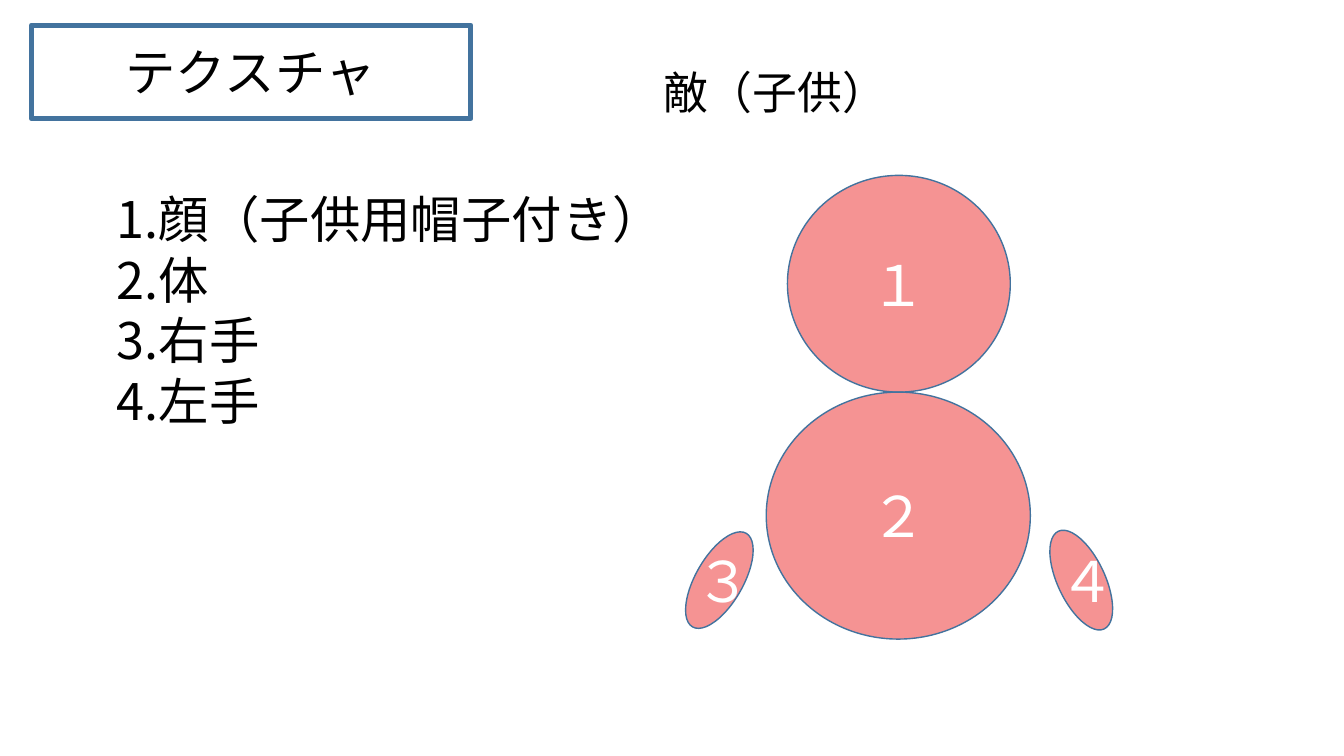
"""Builds a slide listing the textures of the child enemy beside its numbered parts."""
from dataclasses import dataclass

import pptx
import pptx.dml.color
import pptx.enum.shapes
import pptx.enum.text
import pptx.oxml
import pptx.oxml.ns
import pptx.util

FONT = "Noto Sans CJK JP"
BLACK, WHITE, PINK, BLUE = "000000", "FFFFFF", "F59393", "43739E"
WIDTH, HEIGHT = pptx.util.Inches(13.33), pptx.util.Inches(7.5)
LEFT, CENTER = pptx.enum.text.PP_ALIGN.LEFT, pptx.enum.text.PP_ALIGN.CENTER
RECT, OVAL = pptx.enum.shapes.MSO_SHAPE.RECTANGLE, pptx.enum.shapes.MSO_SHAPE.OVAL


@dataclass(frozen=True)
class Box:
    """A rectangle in percent of the slide's width and height."""
    x: float
    y: float
    w: float
    h: float

    def emu(self) -> tuple[int, int, int, int]:
        """Return left, top, width and height in EMU."""
        return (int(WIDTH * self.x / 100), int(HEIGHT * self.y / 100),
                int(WIDTH * self.w / 100), int(HEIGHT * self.h / 100))


@dataclass(frozen=True)
class Part:
    """An ellipse of the figure, with its own label if it has one."""
    box: Box
    label: str = ""
    rotation: float = 0


@dataclass(frozen=True)
class Label:
    """A free line of text."""
    box: Box
    text: str
    size: int
    align: pptx.enum.text.PP_ALIGN = LEFT


PARTS = (
    Part(Box(58.59, 23.2, 16.58, 28.67), "１"),
    Part(Box(57.01, 51.87, 19.65, 32.67), "２"),
    Part(Box(49.51, 73.6, 8.03, 6.27), rotation=299.8),
    Part(Box(76.44, 73.6, 8.03, 6.27), rotation=244.9),
)
LABELS = (
    Label(Box(35.03, 7.87, 45.31, 8.53), "敵（子供）", 32, CENTER),
    Label(Box(78.09, 71.6, 3.53, 10.27), "４", 40),
    Label(Box(51.01, 71.6, 3.53, 10.27), "３", 40),
)
TEXTURES = ("顔（子供用帽子付き）", "体", "右手", "左手")


def rgb(color: str) -> pptx.dml.color.RGBColor:
    """Turn a hex string into a colour."""
    return pptx.dml.color.RGBColor.from_string(color)


def element(tag: str, attributes: str):
    """Make an empty DrawingML element."""
    return pptx.oxml.parse_xml(f"<a:{tag} {pptx.oxml.ns.nsdecls('a')} {attributes}/>")


def write(tf, lines: tuple[str, ...], size: int, color: str, align, tight: bool = True) -> None:
    """Fill a text frame with evenly formatted paragraphs."""
    tf.word_wrap = True
    tf.text = "\n".join(lines)
    for p in tf.paragraphs:
        p.alignment = align
        p.space_before = pptx.util.Pt(0)
        if tight:
            p.line_spacing = pptx.util.Pt(size * 1.2)
        p.font.size = pptx.util.Pt(size)
        p.font.color.rgb = rgb(color)
        p.font.name = FONT
        p._p.pPr.find(pptx.oxml.ns.qn("a:defRPr")).append(element("ea", f'typeface="{FONT}"'))


def fill_placeholder(sp, box: Box, lines: tuple[str, ...], align) -> None:
    """Move a placeholder and write its text."""
    sp.left, sp.top, sp.width, sp.height = box.emu()
    sp.text_frame.auto_size = pptx.enum.text.MSO_AUTO_SIZE.NONE
    sp.text_frame.vertical_anchor = pptx.enum.text.MSO_ANCHOR.TOP
    write(sp.text_frame, lines, 36, BLACK, align)


def number(tf) -> None:
    """Number the paragraphs of a text frame."""
    for p in tf.paragraphs:
        pPr = p._p.pPr
        pPr.set("marL", str(pptx.util.Inches(0.38)))
        pPr.set("indent", str(-pptx.util.Inches(0.38)))
        pPr.find(pptx.oxml.ns.qn("a:defRPr")).addprevious(
            element("buAutoNum", 'type="arabicPeriod"'))


def add_outlined(s, preset, box: Box, line_width: float):
    """Add a blue-lined shape without shadow."""
    sp = s.shapes.add_shape(preset, *box.emu())
    sp.shadow.inherit = False
    sp.line.color.rgb = rgb(BLUE)
    sp.line.width = pptx.util.Pt(line_width)
    return sp


def add_part(s, part: Part) -> None:
    """Draw one part of the figure."""
    sp = add_outlined(s, OVAL, part.box, 1)
    sp.fill.solid()
    sp.fill.fore_color.rgb = rgb(PINK)
    sp.rotation = part.rotation
    if part.label:
        write(sp.text_frame, (part.label,), 40, WHITE, CENTER, tight=False)


def add_label(s, label: Label) -> None:
    """Draw one free label, white on the figure's hands and black elsewhere."""
    color = WHITE if label.size == 40 else BLACK
    sp = s.shapes.add_textbox(*label.box.emu())
    write(sp.text_frame, (label.text,), label.size, color, label.align)


def main() -> None:
    """Build and save the slide."""
    prs = pptx.Presentation()
    prs.slide_width, prs.slide_height = WIDTH, HEIGHT
    s = prs.slides.add_slide(prs.slide_layouts[1])
    add_outlined(s, RECT, Box(2.33, 3.33, 32.71, 12.4), 3.5).fill.background()
    fill_placeholder(s.shapes.title, Box(2.78, 4.8, 31.73, 9.47), ("テクスチャ",), CENTER)
    textures = s.placeholders[1]
    fill_placeholder(textures, Box(7.95, 24.27, 49.06, 33.6), TEXTURES, LEFT)
    number(textures.text_frame)
    for part in PARTS:
        add_part(s, part)
    for label in LABELS:
        add_label(s, label)
    prs.save("out.pptx")


if __name__ == "__main__":
    main()
